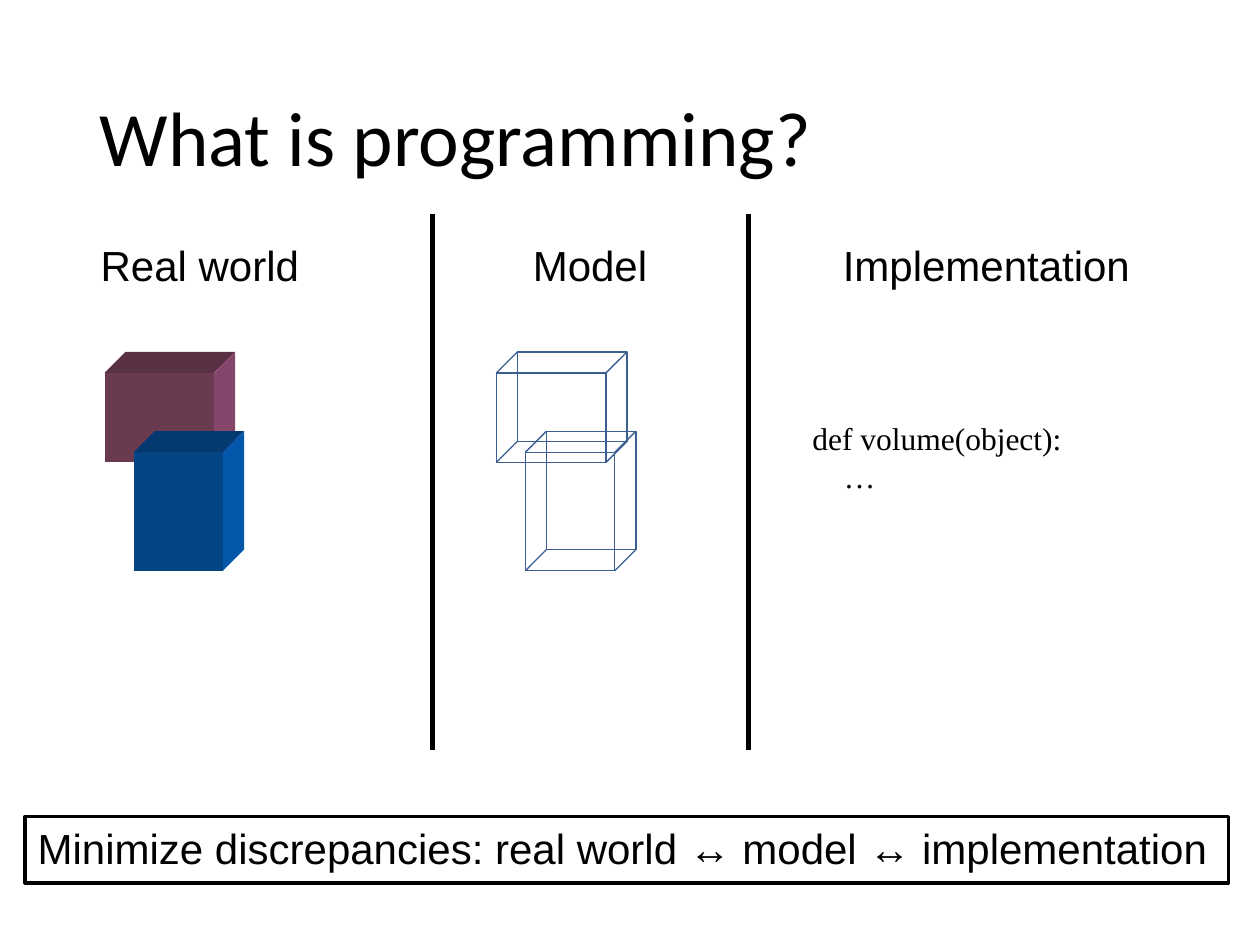
from dataclasses import dataclass

from lxml.etree import SubElement
from pptx import Presentation
from pptx.dml.color import RGBColor
from pptx.enum.shapes import MSO_CONNECTOR, MSO_SHAPE
from pptx.enum.text import MSO_ANCHOR, MSO_AUTO_SIZE, PP_ALIGN
from pptx.oxml.ns import qn
from pptx.util import Inches, Pt


@dataclass(frozen=True)
class Theme:
    ink: str = "000000"
    wire: str = "3B5F92"
    # Block colours: front, top, side
    plum: tuple = ("6A3A51", "5A3144", "84466A")
    blue: tuple = ("044584", "053A70", "0457AB")
    title_font: str = "Calibri"
    body_font: str = "Arial"
    code_font: str = "Times New Roman"
    title_size: int = 44
    body_size: int = 24
    code_size: int = 18
    divider_weight: float = 3
    frame_weight: float = 2
    wire_weight: float = 0.75


class SlideBuilder:
    """Draws on a grid of 100 columns by 75 rows."""

    COLUMNS, ROWS = 100, 75
    DEPTH = 1.67

    def __init__(self, deck, theme):
        self.theme = theme
        self.cell_w = deck.slide_width / self.COLUMNS
        self.cell_h = deck.slide_height / self.ROWS
        self.slide = deck.slides.add_slide(deck.slide_layouts[5])

    def point(self, column, row):
        return round(column * self.cell_w), round(row * self.cell_h)

    def area(self, column, row, columns, rows):
        return *self.point(column, row), *self.point(columns, rows)

    def add_lines(self, frame, lines, font, size):
        for index, line in enumerate(lines):
            paragraph = frame.paragraphs[0] if index == 0 else frame.add_paragraph()
            paragraph.alignment = PP_ALIGN.LEFT
            run = paragraph.add_run()
            run.text = line
            run.font.name = font
            run.font.size = Pt(size)
            run.font.color.rgb = RGBColor.from_string(self.theme.ink)

    def title(self, text, *area):
        heading = self.slide.shapes.title
        heading.left, heading.top, heading.width, heading.height = self.area(*area)
        frame = heading.text_frame
        frame.vertical_anchor = MSO_ANCHOR.MIDDLE
        self.add_lines(frame, [text], self.theme.title_font, self.theme.title_size)
        frame.paragraphs[0].line_spacing = 0.9

    def label(self, lines, *area, font=None, size=None):
        box = self.slide.shapes.add_textbox(*self.area(*area))
        self.fit_text(box, lines, font, size)

    def fit_text(self, box, lines, font=None, size=None):
        frame = box.text_frame
        frame.word_wrap = False
        frame.auto_size = MSO_AUTO_SIZE.SHAPE_TO_FIT_TEXT
        frame.vertical_anchor = MSO_ANCHOR.TOP
        self.add_lines(frame, lines, font or self.theme.body_font,
                       size or self.theme.body_size)

    def framed_note(self, text, *area):
        note = self.slide.shapes.add_shape(MSO_SHAPE.RECTANGLE, *self.area(*area))
        note.shadow.inherit = False
        note.fill.background()
        self.outline(note.line, self.theme.ink, self.theme.frame_weight)
        self.fit_text(note, [text])

    def outline(self, line, color, weight):
        line.color.rgb = RGBColor.from_string(color)
        line.width = Pt(weight)

    def divider(self, column, top, bottom):
        rule = self.slide.shapes.add_connector(
            MSO_CONNECTOR.STRAIGHT, *self.point(column, top),
            *self.point(column, bottom))
        self.outline(rule.line, self.theme.ink, self.theme.divider_weight)
        SubElement(rule._element.spPr, qn("a:effectLst"))

    def freeform(self, contours, closed):
        """Returns one shape made of several contours."""
        starts = [self.point(*contour[0]) for contour in contours]
        builder = self.slide.shapes.build_freeform(*starts[0])
        for index, contour in enumerate(contours):
            if index:
                builder.move_to(*starts[index])
            builder.add_line_segments([self.point(*p) for p in contour[1:]], close=closed)
        drawn = builder.convert_to_shape()
        drawn.shadow.inherit = False
        return drawn

    def corners(self, column, row, columns, rows):
        """Returns front and back corners, clockwise from top left."""
        right, bottom = column + columns, row + rows
        front = [(column, row), (right, row), (right, bottom), (column, bottom)]
        back = [(x + self.DEPTH, y - self.DEPTH) for x, y in front]
        return front, back

    def solid_block(self, area, colors):
        front, back = self.corners(*area)
        top = [front[0], back[0], back[1], front[1]]
        side = [front[1], back[1], back[2], front[2]]
        for corners, color in zip((front, top, side), colors):
            face = self.freeform([corners], closed=True)
            face.fill.solid()
            face.fill.fore_color.rgb = RGBColor.from_string(color)
            face.line.fill.background()

    def wire_block(self, area):
        front, back = self.corners(*area)
        rings = [ring + ring[:1] for ring in (front, back)]
        wires = self.freeform(rings + list(zip(front, back)), closed=False)
        wires.fill.background()
        self.outline(wires.line, self.theme.wire, self.theme.wire_weight)


def main():
    deck = Presentation()
    deck.slide_width, deck.slide_height = Inches(10), Inches(7.5)
    theme = Theme()
    page = SlideBuilder(deck, theme)

    page.title("What is programming?", 6.9, 4, 86.2, 14.5)

    model_shift = 31.1
    blocks = [((8.3, 29.6, 8.7, 7.1), theme.plum),
              ((10.6, 35.9, 7.1, 9.4), theme.blue)]
    for area, colors in blocks:
        page.solid_block(area, colors)
    for (column, *rest), _ in blocks:
        page.wire_block((column + model_shift, *rest))

    for heading, column, columns in [("Real world", 7, 17.8), ("Model", 41.3, 11.1),
                                     ("Implementation", 65.9, 24.8)]:
        page.label([heading], column, 18.5, columns, 5)
    for column in (34.3, 59.4):
        page.divider(column, 17, 59.5)

    page.label(["def volume(object):", "    …"], 63.5, 32.8, 22, 7.1,
               font=theme.code_font, size=theme.code_size)
    page.framed_note("Minimize discrepancies: real world ↔ model ↔ implementation",
                     2, 64.8, 95.5, 5.3)

    deck.save("out.pptx")


if __name__ == "__main__":
    main()
